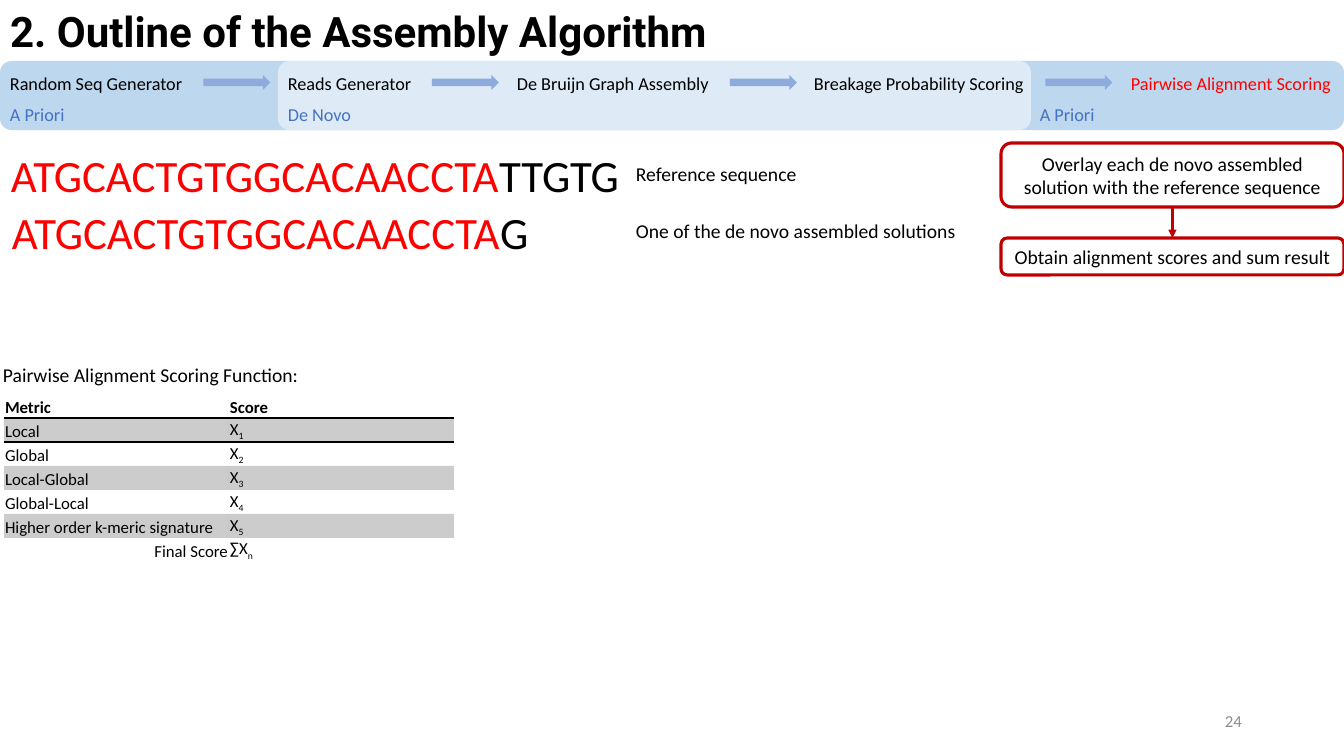
from lxml import etree
from pptx import Presentation
from pptx.dml.color import RGBColor
from pptx.enum.shapes import MSO_CONNECTOR, MSO_SHAPE
from pptx.enum.text import MSO_ANCHOR, MSO_AUTO_SIZE, PP_ALIGN
from pptx.oxml.ns import qn
from pptx.util import Pt

ROUND, ARROW = MSO_SHAPE.ROUNDED_RECTANGLE, MSO_SHAPE.RIGHT_ARROW
LEFT, CENTER, RIGHT = PP_ALIGN.LEFT, PP_ALIGN.CENTER, PP_ALIGN.RIGHT
TOP, MIDDLE, BOTTOM = MSO_ANCHOR.TOP, MSO_ANCHOR.MIDDLE, MSO_ANCHOR.BOTTOM
FIT, FIXED = MSO_AUTO_SIZE.SHAPE_TO_FIT_TEXT, MSO_AUTO_SIZE.NONE
NO_STYLE = "{2D5ABB26-0587-4C30-8999-92F81FD0307C}"

COLORS = dict(black="000000", red="FF0000", blue="4472C4", grey="8C8C8C",
              band="BDD7EE", novo="DEEBF7", arrow="8FAADC", frame="C00000")

TITLE = "2. Outline of the Assembly Algorithm"
STEPS = [  # text, left, width, colour
    ("Random Seq Generator", 0, 196, "black"),
    ("Reads Generator", 278, 146, "black"),
    ("De Bruijn Graph Assembly", 507, 216, "black"),
    ("Breakage Probability Scoring", 804, 233, "black"),
    ("Pairwise Alignment Scoring", 1121, 223, "red"),
]
PHASES = [("A Priori", 0, 76), ("De Novo", 278, 85), ("A Priori", 1030, 76)]
MATCH = "ATGCACTGTGGCACAACCTA"
SEQUENCES = [  # unmatched tail, left, top, width, caption, caption width
    ("TTGTG", 1, 143, 631, "Reference sequence", 182),
    ("G", 2, 200, 542, "One of the de novo assembled solutions", 344),
]
ACTIONS = [  # text, top, height
    ("Overlay each de novo assembled solution with the reference sequence", 143, 64),
    ("Obtain alignment scores and sum result", 238, 37),
]
TABLE_TITLE = "Pairwise Alignment Scoring Function:"
SCORES = [  # metric, score, subscript
    ("Metric", "Score", ""),
    ("Local", "X", "1"),
    ("Global", "X", "2"),
    ("Local-Global", "X", "3"),
    ("Global-Local", "X", "4"),
    ("Higher order k-meric signature", "X", "5"),
    ("Final Score", "∑X", "n"),
]
PAGE = "24"


def px(n):
    """Turn pixels into EMU."""
    return round(n * 914400 / 100.8)


def rgb(name):
    """Look up a named colour."""
    return RGBColor.from_string(COLORS[name])


def write(tf, runs, size, align=LEFT, font="Calibri", bold=False):
    """Fill the first paragraph with (text, colour) runs and return it."""
    p = tf.paragraphs[0]
    p.alignment = align
    for text, color in runs:
        r = p.add_run()
        r.text = text
        r.font.name, r.font.size, r.font.bold = font, Pt(size), bold
        r.font.color.rgb = rgb(color)
    return p


def label(runs, x, y, w, h, size, align=LEFT, anchor=TOP):
    """Add an unwrapped text box."""
    tf = s.shapes.add_textbox(px(x), px(y), px(w), px(h)).text_frame
    tf.word_wrap, tf.vertical_anchor, tf.auto_size = False, anchor, FIT
    write(tf, runs, size, align)
    return tf


def shape(kind, x, y, w, h, fill=None, line=None):
    """Add a preset shape with a flat fill or an outline."""
    sp = s.shapes.add_shape(kind, px(x), px(y), px(w), px(h))
    sp.shadow.inherit = False
    if fill:
        sp.fill.solid()
        sp.fill.fore_color.rgb = rgb(fill)
    else:
        sp.fill.background()
    if line:
        sp.line.color.rgb, sp.line.width = rgb(line), Pt(2.25)
    else:
        sp.line.fill.background()
    return sp


def arrow_line(x, y1, y2):
    """Add a downward line ending in a triangle."""
    sp = s.shapes.add_connector(MSO_CONNECTOR.STRAIGHT, px(x), px(y1), px(x), px(y2))
    sp.line.color.rgb, sp.line.width = rgb("frame"), Pt(1.5)
    etree.SubElement(sp.line._get_or_add_ln(), qn("a:tailEnd"), type="triangle")
    etree.SubElement(sp._element.spPr, qn("a:effectLst"))


def shade(cell):
    """Fill a cell with black at 20 percent opacity."""
    cell.fill.solid()
    cell.fill.fore_color.rgb = rgb("black")
    clr = cell._tc.tcPr.find(".//" + qn("a:srgbClr"))
    etree.SubElement(clr, qn("a:alpha"), val="20000")


def rule_cell(cell, side):
    """Draw a 1 pt black border on one side of a cell."""
    ln = etree.Element(qn("a:" + side), w=str(Pt(1)))
    fill = etree.SubElement(ln, qn("a:solidFill"))
    etree.SubElement(fill, qn("a:srgbClr"), val=COLORS["black"])
    cell._tc.get_or_add_tcPr().insert(0, ln)


def score_table(x, y, w, row_h):
    """Add the table of metrics and scores."""
    n = len(SCORES)
    table = s.shapes.add_table(n, 2, px(x), px(y), px(w), px(row_h * n)).table
    table.first_row = table.horz_banding = False
    table._tbl.tblPr.find(qn("a:tableStyleId")).text = NO_STYLE
    for i, (metric, score, sub) in enumerate(SCORES):
        for j, text in enumerate((metric, score)):
            cell = table.cell(i, j)
            cell.margin_left = cell.margin_right = cell.margin_top = px(1)
            cell.margin_bottom = 0
            cell.vertical_anchor = BOTTOM
            if i % 2 and i < n - 1:
                shade(cell)
            else:
                cell.fill.background()
            if i < 2:
                rule_cell(cell, ("lnB", "lnT")[i])
            runs = [(text, "black")]
            if j and sub:
                runs.append((sub, "black"))
            align = RIGHT if i == n - 1 and j == 0 else LEFT
            p = write(cell.text_frame, runs, 12, align, bold=i == 0)
            if len(runs) > 1:
                p.runs[1].font._element.set("baseline", "-25000")


prs = Presentation()
prs.slide_width, prs.slide_height = px(1344), px(756)
s = prs.slides.add_slide(prs.slide_layouts[5])

# Process band
BAND_Y, BAND_H = 61, 69
shape(ROUND, 0, BAND_Y, 1344, BAND_H, "band")
shape(ROUND, 278, BAND_Y, 753, BAND_H, "novo")
title = s.shapes.title
title.left, title.top, title.width, title.height = 0, 0, px(932), px(61)
tf = title.text_frame
tf.word_wrap, tf.vertical_anchor, tf.auto_size = True, TOP, FIXED
write(tf, [(TITLE, "black")], 30, font="Roboto", bold=True)
for text, x, w, color in STEPS:
    label([(text, color)], x, 67, w, 32, 13)
for (_, x, w, _), (_, next_x, _, _) in zip(STEPS, STEPS[1:]):
    shape(ARROW, (x + w + next_x - 67) / 2, 75, 67, 15, "arrow")
for text, x, w in PHASES:
    label([(text, "blue")], x, 98, w, 32, 13)

# Aligned sequences
for tail, x, y, w, caption, caption_w in SEQUENCES:
    label([(MATCH, "red"), (tail, "black")], x, y, w, 64, 32)
    label([(caption, "black")], 626, y + 14, caption_w, 34, 14)

# Scoring steps
BOX_X, BOX_W = 1001, 343
for text, y, h in ACTIONS:
    tf = shape(ROUND, BOX_X, y, BOX_W, h, line="frame").text_frame
    tf.word_wrap, tf.vertical_anchor = True, MIDDLE
    write(tf, [(text, "black")], 14, CENTER)
(_, y1, h1), (_, y2, _) = ACTIONS
arrow_line(BOX_X + BOX_W / 2, y1 + h1, y2)

# Score table and page number
label([(TABLE_TITLE, "black")], -7, 358, 318, 34, 14)
score_table(4, 394, 450, 24)
tf = label([(PAGE, "grey")], 950, 701, 302, 40, 12, RIGHT, MIDDLE)
tf.word_wrap, tf.auto_size = True, FIXED

prs.save("out.pptx")
